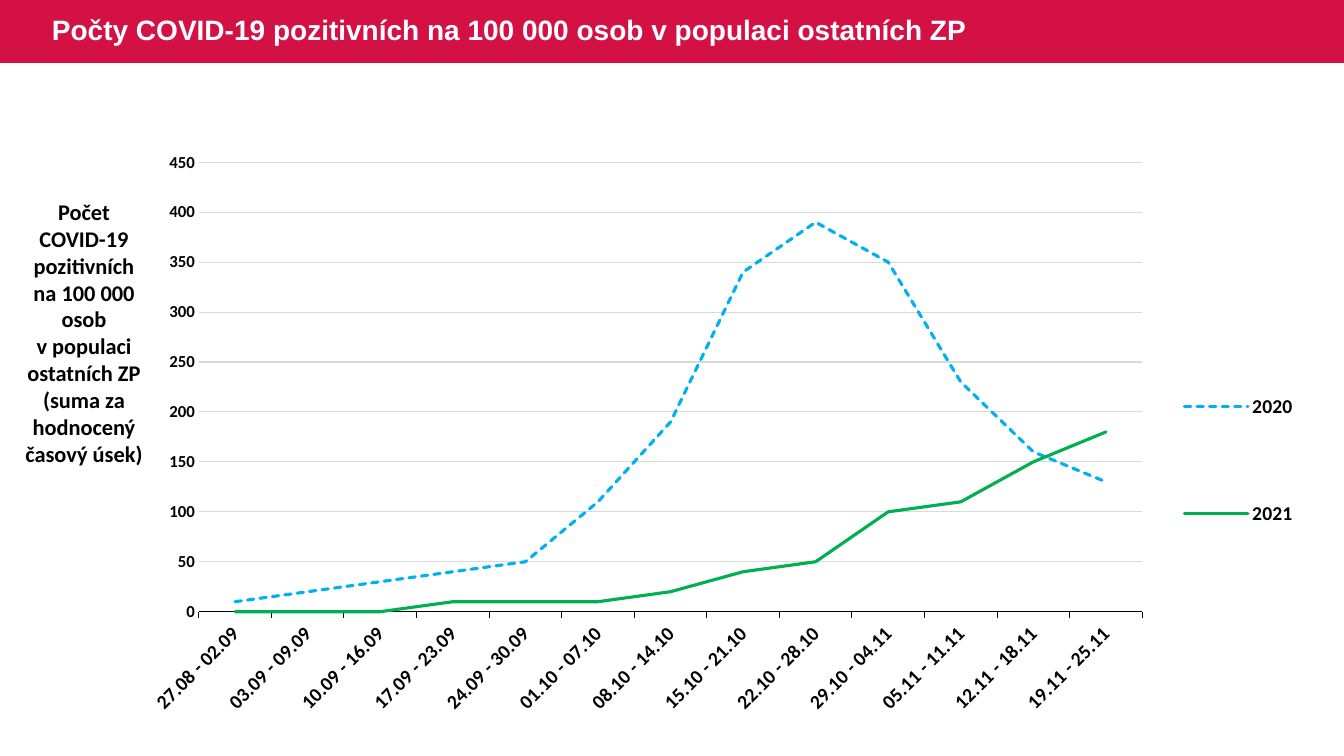
from lxml import etree
from pptx import Presentation
from pptx import util as u
from pptx.chart.data import CategoryChartData
from pptx.dml.color import RGBColor
from pptx.enum import chart as ch, dml, shapes, text
from pptx.oxml.ns import qn

PX = 9525
HARD_SPACE = chr(160)
WEEKS = ["27.08 - 02.09", "03.09 - 09.09", "10.09 - 16.09", "17.09 - 23.09",
         "24.09 - 30.09", "01.10 - 07.10", "08.10 - 14.10", "15.10 - 21.10",
         "22.10 - 28.10", "29.10 - 04.11", "05.11 - 11.11", "12.11 - 18.11",
         "19.11 - 25.11"]
CASES = {
    "2020": ([10, 20, 30, 40, 50, 110, 190, 340, 390, 350, 230, 160, 130],
             "00B0F0", dml.MSO_LINE.SQUARE_DOT),
    "2021": ([0, 0, 0, 10, 10, 10, 20, 40, 50, 100, 110, 150, 180],
             "00B050", dml.MSO_LINE.SOLID),
}


def px(*lengths):
    return [u.Emu(length * PX) for length in lengths]


def color(value):
    return RGBColor.from_string(value)


def apply(target, values):
    for name, value in values.items():
        setattr(target, name, value)


def set_layout(parent, index, inner, x, y, w, h):
    """Place a chart part by fractions of the chart area."""
    for old in parent.findall(qn("c:layout")):
        parent.remove(old)
    layout = etree.Element(qn("c:layout"))
    manual = etree.SubElement(layout, qn("c:manualLayout"))
    values = {"layoutTarget": "inner"} if inner else {}
    values |= {"xMode": "edge", "yMode": "edge", "x": x, "y": y, "w": w, "h": h}
    for name, value in values.items():
        etree.SubElement(manual, qn(f"c:{name}")).set("val", str(value))
    parent.insert(index, layout)


class SlideBuilder:
    def __init__(self, slide):
        self.slide = slide

    def style_font(self, font, size, tint="000000", name="Calibri"):
        apply(font, {"size": u.Pt(size), "name": name, "bold": True})
        font.color.rgb = color(tint)

    def style_line(self, line, tint, width):
        line.color.rgb = color(tint)
        line.width = u.Pt(width)

    def band(self, box, tint):
        shape = self.slide.shapes.add_shape(shapes.MSO_SHAPE.RECTANGLE, *px(*box))
        shape.shadow.inherit = False
        shape.fill.solid()
        shape.fill.fore_color.rgb = color(tint)
        shape.line.fill.background()

    def label(self, box, words, frame_values, paragraph_values, **font):
        frame = self.slide.shapes.add_textbox(*px(*box)).text_frame
        apply(frame, {"word_wrap": True} | frame_values)
        paragraph = frame.paragraphs[0]
        apply(paragraph, paragraph_values)
        run = paragraph.add_run()
        run.text = words
        self.style_font(run.font, **font)

    def line_chart(self, box, categories, series_styles):
        data = CategoryChartData()
        data.categories = categories
        for name, (values, _, _) in series_styles.items():
            data.add_series(name, values)
        chart = self.slide.shapes.add_chart(
            ch.XL_CHART_TYPE.LINE, *px(*box), data).chart
        apply(chart, {"has_title": False, "has_legend": True})
        self.style_font(chart.font, 14)
        plot = chart.plots[0]
        plot.vary_by_categories = False
        for series in plot.series:
            _, tint, dash = series_styles[series.name]
            series.smooth = False
            self.style_line(series.format.line, tint, 2.25)
            series.format.line.dash_style = dash
            next(series._element.iter(qn("a:ln"))).set("cap", "rnd")
        self.style_axes(chart)
        apply(chart.legend, {"position": ch.XL_LEGEND_POSITION.RIGHT,
                             "include_in_layout": False})
        self.style_font(chart.legend.font, 14)
        plot_area = chart._chartSpace.chart.plotArea
        set_layout(plot_area, 0, True, 0.045, 0.017, 0.803, 0.759)
        set_layout(chart.legend._element, 1, False, 0.87, 0.27, 0.12, 0.5)

    def style_axes(self, chart):
        weeks, counts = chart.category_axis, chart.value_axis
        apply(weeks, {"major_tick_mark": ch.XL_TICK_MARK.OUTSIDE,
                      "has_major_gridlines": False})
        self.style_font(weeks.tick_labels.font, 14)
        self.style_line(weeks.format.line, "000000", 0.75)
        label_body = weeks._element.find(qn("c:txPr")).find(qn("a:bodyPr"))
        label_body.set("rot", "-2700000")
        apply(counts, {"major_tick_mark": ch.XL_TICK_MARK.NONE,
                       "minimum_scale": 0, "maximum_scale": 450,
                       "major_unit": 50, "has_major_gridlines": True})
        self.style_font(counts.tick_labels.font, 12)
        counts.format.line.fill.background()
        self.style_line(counts.major_gridlines.format.line, "D9D9D9", 0.75)


def main():
    presentation = Presentation()
    width, height = px(1280, 720)
    apply(presentation, {"slide_width": width, "slide_height": height})
    builder = SlideBuilder(presentation.slides.add_slide(presentation.slide_layouts[6]))
    builder.band((0, 0, 1280, 60), "D31145")
    builder.label((40, 0, 908, 60),
                  "Počty COVID-19 pozitivních na 100 000 osob v populaci ostatních ZP",
                  {"vertical_anchor": text.MSO_ANCHOR.MIDDLE},
                  {"line_spacing": 0.9}, size=20, tint="FFFFFF", name="Arial")
    amount = HARD_SPACE.join(["na", "100", "000"])
    population = HARD_SPACE.join(["v", "populaci"])
    builder.label((14, 184, 132, 268),
                  f"Počet COVID-19 pozitivních {amount} osob {population} "
                  "ostatních ZP (suma za hodnocený časový úsek)",
                  {"auto_size": text.MSO_AUTO_SIZE.SHAPE_TO_FIT_TEXT},
                  {"alignment": text.PP_ALIGN.CENTER}, size=16)
    builder.line_chart((139, 145, 1119, 564), WEEKS, CASES)
    presentation.save("out.pptx")


if __name__ == "__main__":
    main()
